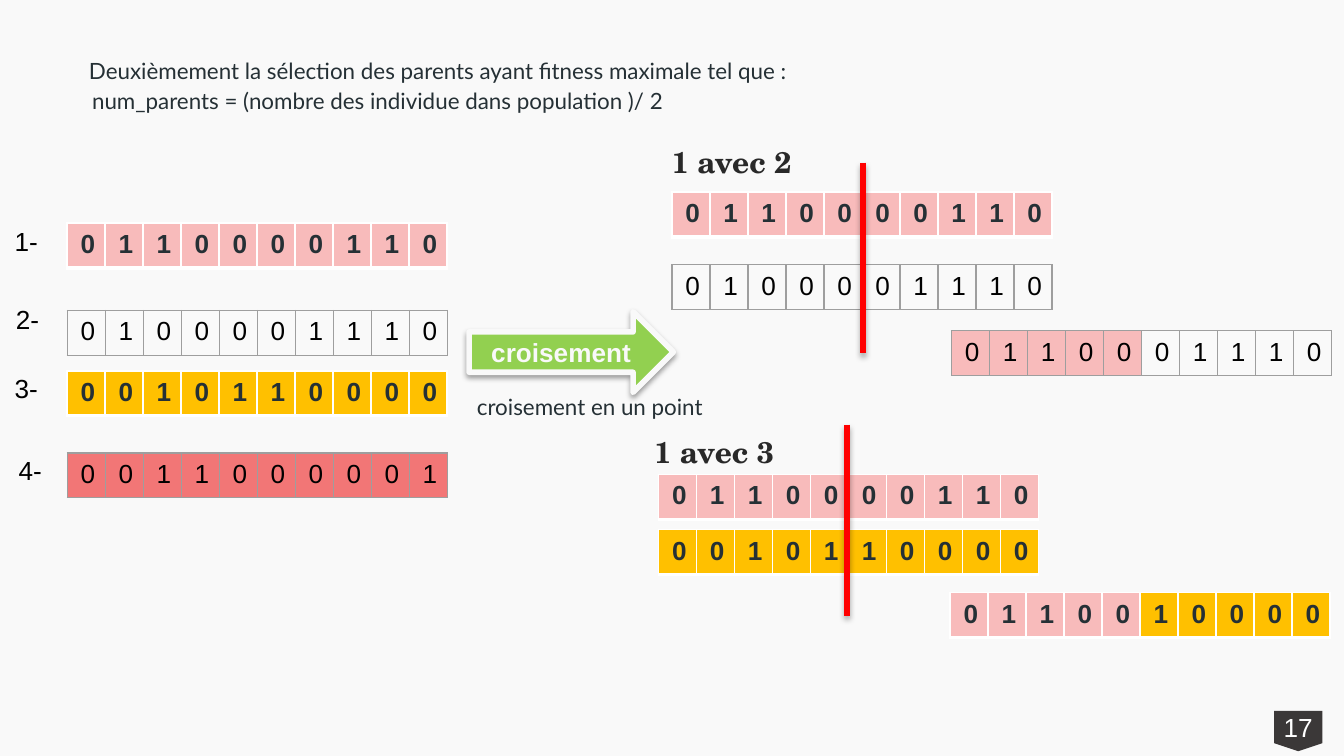
from lxml.etree import SubElement
from pptx import Presentation
from pptx.dml.color import RGBColor
from pptx.enum.shapes import MSO_CONNECTOR as CONNECTOR, MSO_SHAPE as SHAPE
from pptx.enum.text import MSO_ANCHOR as ANCHOR, PP_ALIGN as ALIGN
from pptx.oxml.ns import qn
from pptx.util import Inches, Pt

COLORS = {
    "background": "F9F9F9", "heading": "292929", "body": "253035",
    "black": "000000", "white": "FFFFFF", "grid": "9E9E9E",
    "pink": "F8BBBB", "gold": "FFC000", "coral": "F27676",
    "green": "92D050", "cut": "FF0000", "badge": "3B3838",
}
GENES = 10
ROW_WIDTH, ROW_HEIGHT = 2.83, 0.33
PARENT_1, PARENT_2 = "0110000110", "0100001110"
PARENT_3, PARENT_4 = "0010110000", "0011000001"
CUT = GENES // 2


def rgb(name):
    return RGBColor.from_string(COLORS[name])


def style_run(run, size, font, color, bold=False):
    run.font.size = Pt(size)
    run.font.name = font
    run.font.color.rgb = rgb(color)
    run.font.bold = bold


def add_label(slide, text, box, size, font, color, bold=False, wrap=True):
    label = slide.shapes.add_textbox(*map(Inches, box))
    label.text_frame.word_wrap = wrap
    label.text_frame.text = text
    style_run(label.text_frame.paragraphs[0].runs[0], size, font, color, bold)


def add_intro(slide):
    intro = slide.shapes.add_textbox(*map(Inches, (0.59, 0.36, 9.58, 0.78)))
    frame = intro.text_frame
    frame.word_wrap = True
    frame.margin_left = frame.margin_right = frame.margin_bottom = 0
    frame.margin_top = Inches(0.01)
    selection, formula = frame.paragraphs[0], frame.add_paragraph()
    lead = selection.add_run()
    lead.text = " "
    style_run(lead, 16, "TeX Gyre Schola", "heading")
    sentences = (
        (selection, "Deuxièmement la sélection des parents ayant fitness maximale tel que :"),
        (formula, "  num_parents = (nombre des individue dans population )/ 2"),
    )
    for paragraph, text in sentences:
        paragraph.space_before = Pt(1)
        paragraph._p.get_or_add_pPr().set("marL", str(Inches(0.01)))
        sentence = paragraph.add_run()
        sentence.text = text
        style_run(sentence, 12, "Lato", "body")


def set_borders(cell, color, widths):
    properties = cell._tc.get_or_add_tcPr()
    for side, width in zip("LRTB", widths):
        border = SubElement(properties, qn(f"a:ln{side}"), w=str(Pt(width)))
        fill = SubElement(border, qn("a:solidFill"))
        SubElement(fill, qn("a:srgbClr"), val=COLORS[color])


def add_chromosome(slide, left, top, genes, fills, bold):
    frame = slide.shapes.add_table(
        1, GENES, *map(Inches, (left, top, ROW_WIDTH, ROW_HEIGHT)))
    table = frame.table
    table.first_row = table.horz_banding = False
    for cell, gene, fill in zip(table.iter_cells(), genes, fills):
        if bold:
            set_borders(cell, "white", (1, 1, 1, 2))
        else:
            set_borders(cell, "grid", (0.75,) * 4)
        if fill:
            cell.fill.solid()
            cell.fill.fore_color.rgb = rgb(fill)
        else:
            cell.fill.background()
        cell.text_frame.text = gene
        style_run(cell.text_frame.paragraphs[0].runs[0], 14, "Arial",
                  "body" if bold else "black", bold)


def add_shadow(shape, opacity, distance):
    effects = SubElement(shape._element.spPr, qn("a:effectLst"))
    shadow = SubElement(effects, qn("a:outerShdw"), blurRad=str(Pt(3.1)),
                        dist=str(Pt(distance)), dir="5400000", rotWithShape="0")
    color = SubElement(shadow, qn("a:srgbClr"), val=COLORS["black"])
    SubElement(color, qn("a:alpha"), val=str(opacity * 1000))


def add_cut_line(slide, x, top):
    cut = slide.shapes.add_connector(
        CONNECTOR.STRAIGHT, *map(Inches, (x, top, x, top + 1.42)))
    cut.line.color.rgb = rgb("cut")
    cut.line.width = Pt(3)
    add_shadow(cut, 35, 1.8)


def add_crossover_arrow(slide):
    arrow = slide.shapes.add_shape(
        SHAPE.RIGHT_ARROW, *map(Inches, (3.49, 2.32, 1.52, 0.6)))
    arrow.fill.solid()
    arrow.fill.fore_color.rgb = rgb("green")
    arrow.line.color.rgb = rgb("background")
    arrow.line.width = Pt(3)
    add_shadow(arrow, 38, 1.6)
    arrow.text_frame.text = "croisement"
    arrow.text_frame.vertical_anchor = ANCHOR.MIDDLE
    caption = arrow.text_frame.paragraphs[0]
    caption.alignment = ALIGN.CENTER
    style_run(caption.runs[0], 14, "Arial", "background", True)


def add_page_badge(slide):
    outline = slide.shapes.build_freeform(Inches(9.66), Inches(5.59), scale=1.0)
    corners = ((9.48, 5.53), (9.48, 5.29), (9.84, 5.29), (9.84, 5.53))
    outline.add_line_segments([(Inches(x), Inches(y)) for x, y in corners])
    badge = outline.convert_to_shape()
    badge.shadow.inherit = False
    badge.fill.solid()
    badge.fill.fore_color.rgb = rgb("badge")
    badge.line.fill.background()
    frame = badge.text_frame
    frame.margin_left = frame.margin_right = frame.margin_top = frame.margin_bottom = 0
    frame.vertical_anchor = ANCHOR.TOP
    frame.text = "17"
    number = frame.paragraphs[0]
    number.alignment = ALIGN.CENTER
    style_run(number.runs[0], 14, "Arial", "white")


def main():
    deck = Presentation()
    deck.slide_width, deck.slide_height = Inches(10), Inches(10 * 9 / 16)
    slide = deck.slides.add_slide(deck.slide_layouts[6])
    slide.background.fill.solid()
    slide.background.fill.fore_color.rgb = rgb("background")

    add_intro(slide)

    pink, gold, coral, clear = (
        [fill] * GENES for fill in ("pink", "gold", "coral", None))
    population = (
        (1.66, PARENT_1, pink, True, "1-", 0.01, 1.63),
        (2.31, PARENT_2, clear, False, "2-", 0.02, 2.21),
        (2.76, PARENT_3, gold, True, "3-", 0.01, 2.72),
        (3.37, PARENT_4, coral, False, "4-", 0.04, 3.33),
    )
    for top, genes, fills, bold, rank, rank_left, rank_top in population:
        add_chromosome(slide, 0.5, top, genes, fills, bold)
        add_label(slide, rank, (rank_left, rank_top, 0.41, 0.4),
                  14, "Arial", "black", wrap=False)

    add_crossover_arrow(slide)
    add_label(slide, "croisement en un point", (3.45, 2.88, 2.16, 0.3),
              12, "Lato", "body")

    crossovers = (
        ("1 avec 2", (4.9, 1.02), 5, (1.43, 1.97), PARENT_2, clear, False,
         (6.42, 1.21), (7.08, 2.46)),
        ("1 avec 3", (4.77, 3.18), 4.9, (3.53, 3.94), PARENT_3, gold, True,
         (6.3, 3.16), (7.07, 4.41)),
    )
    for title, title_at, left, tops, mate, fills, bold, cut_at, child_at in crossovers:
        add_chromosome(slide, left, tops[0], PARENT_1, pink, True)
        add_chromosome(slide, left, tops[1], mate, fills, bold)
        add_cut_line(slide, *cut_at)
        add_chromosome(slide, *child_at, PARENT_1[:CUT] + mate[CUT:],
                       pink[:CUT] + fills[CUT:], bold)
        add_label(slide, title, (*title_at, 1.22, 0.37),
                  16, "TeX Gyre Schola", "heading", True)

    add_page_badge(slide)
    deck.save("out.pptx")


if __name__ == "__main__":
    main()
